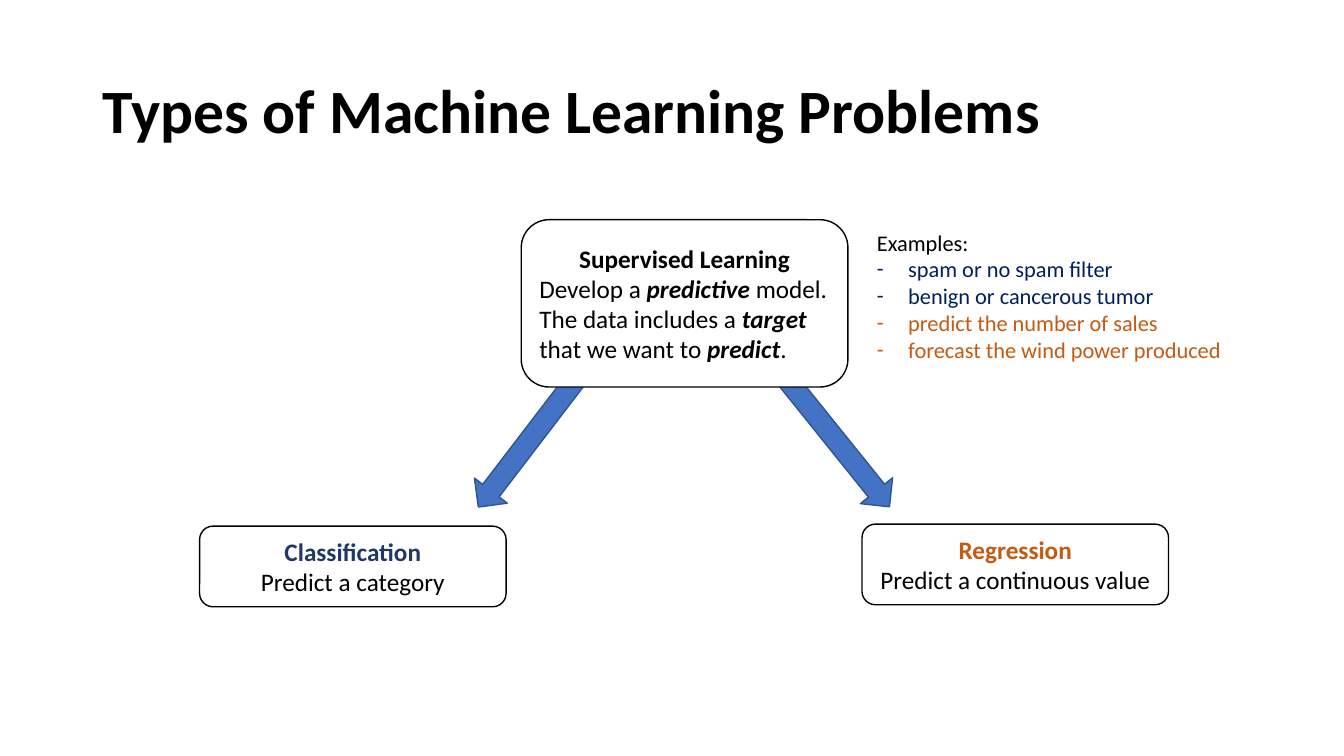
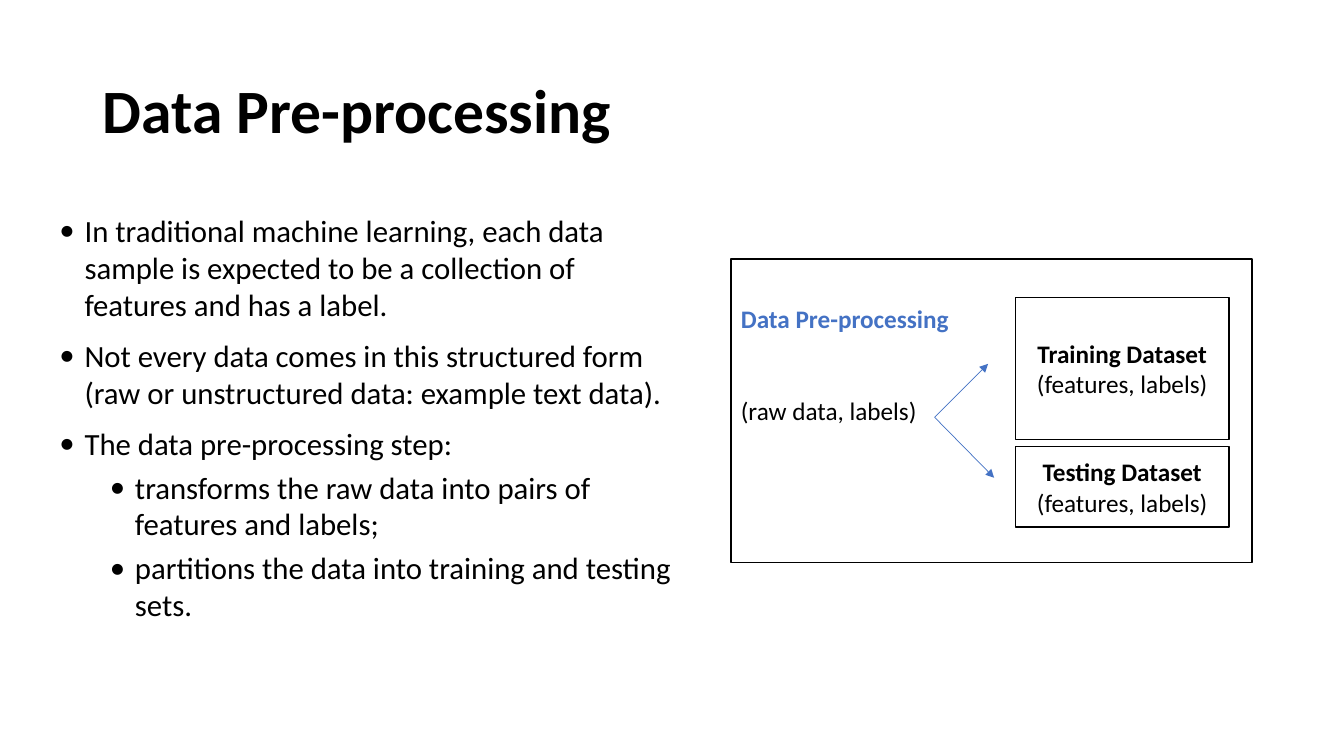
"""Build two slides on machine learning problems and data pre-processing."""
from lxml import etree
from pptx import Presentation
from pptx.dml.color import RGBColor
from pptx.enum.shapes import MSO_CONNECTOR, MSO_SHAPE
from pptx.enum.text import MSO_ANCHOR, PP_ALIGN
from pptx.oxml.ns import qn
from pptx.util import Inches, Pt

LEFT, CENTER = PP_ALIGN.LEFT, PP_ALIGN.CENTER
TOP, MIDDLE = MSO_ANCHOR.TOP, MSO_ANCHOR.MIDDLE
RECT, ROUND = MSO_SHAPE.RECTANGLE, MSO_SHAPE.ROUNDED_RECTANGLE
ARROW, STRAIGHT = MSO_SHAPE.RIGHT_ARROW, MSO_CONNECTOR.STRAIGHT

FONT = "Calibri"
COLORS = {"ink": "000000", "paper": "FFFFFF", "blue": "4472C4", "edge": "325491",
          "navy": "203864", "deep": "002060", "rust": "C55A11"}
WIDE, HIGH = 13.33, 7.5
TITLE = (0.92, 0.4, 11.5, 1.45)

TYPES = "Types of Machine Learning Problems"
GOAL = [("Develop a ", False), ("predictive", True), (" model. The data includes a ", False),
        ("target", True), (" that we want to ", False), ("predict", True), (".", False)]
KINDS = [
    ("Classification", "Predict a category", "navy", (1.98, 5.22)),
    ("Regression", "Predict a continuous value", "rust", (8.55, 5.2)),
]
ARROWS = [((4.42, 4.17), 127.4), ((7.48, 4.18), 51.2)]
CASES = [
    ("spam or no spam filter", "deep"),
    ("benign or cancerous tumor", "deep"),
    ("predict the number of sales", "rust"),
    ("forecast the wind power produced", "rust"),
]

PREP = "Data Pre-processing"
POINTS = [
    (0, "In traditional machine learning, each data sample is expected to be "
        "a collection of features and has a label."),
    (0, "Not every data comes in this structured form "
        "(raw or unstructured data: example text data)."),
    (0, "The data pre-processing step:"),
    (1, "transforms the raw data into pairs of features and labels;"),
    (1, "partitions the data into training and testing sets."),
]
SETS = [("Training Dataset", 2.95, 1.41), ("Testing Dataset", 4.43, 0.8)]
PAIR = "(features, labels)"
FORK, TIPS = (9.27, 4.14), [(9.8, 3.61), (9.86, 4.74)]


def color(name):
    return RGBColor.from_string(COLORS[name])


def para(frame, text, size=18, tint="ink", bold=False, align=LEFT, gap=0, mark=None, ind=0, hang=0):
    """Add a paragraph; text is a string or a list of (words, strong) runs."""
    first = not frame.paragraphs[0].runs
    line = frame.paragraphs[0] if first else frame.add_paragraph()
    line.alignment = align
    if gap and not first:
        line.space_before = Pt(gap)
    if mark:
        props = line._p.get_or_add_pPr()
        props.set("marL", str(Inches(ind)))
        props.set("indent", str(-Inches(hang)))
        etree.SubElement(props, qn("a:buFont")).set("typeface", FONT)
        etree.SubElement(props, qn("a:buChar")).set("char", mark)
    font = line.font
    font.name, font.size, font.bold = FONT, Pt(size), bold
    font.color.rgb = color(tint)
    for words, strong in [(text, None)] if isinstance(text, str) else text:
        run = line.add_run()
        run.text = words
        if strong:
            run.font.bold = run.font.italic = True
    return line


def label(slide, place, anchor=TOP):
    frame = slide.shapes.add_textbox(*map(Inches, place)).text_frame
    frame.word_wrap = True
    frame.vertical_anchor = anchor
    return frame


def shape(slide, kind, place, fill="paper", edge="ink"):
    item = slide.shapes.add_shape(kind, *map(Inches, place))
    item.shadow.inherit = False
    item.fill.solid()
    item.fill.fore_color.rgb = color(fill)
    item.line.color.rgb = color(edge)
    item.line.width = Pt(1)
    return item


def box(slide, kind, place, anchor=MIDDLE):
    frame = shape(slide, kind, place).text_frame
    frame.word_wrap = True
    frame.vertical_anchor = anchor
    return frame


def card(slide, kind, place, head, note, tint="ink"):
    frame = box(slide, kind, place)
    para(frame, head, tint=tint, bold=True, align=CENTER)
    para(frame, note, align=CENTER)


def link(slide, start, end):
    line = slide.shapes.add_connector(STRAIGHT, *map(Inches, start + end))
    line.line.color.rgb = color("blue")
    line.line.width = Pt(0.5)
    etree.SubElement(line.line._get_or_add_ln(), qn("a:tailEnd")).set("type", "triangle")
    etree.SubElement(line._element.spPr, qn("a:effectLst"))


def page(deck, title):
    slide = deck.slides.add_slide(deck.slide_layouts[6])
    para(label(slide, TITLE, MIDDLE), title, 44, bold=True).line_spacing = 0.9
    return slide


def types(deck):
    slide = page(deck, TYPES)
    for spot, turn in ARROWS:
        shape(slide, ARROW, spot + (1.65, 0.41), "blue", "edge").rotation = turn
    for head, note, tint, spot in KINDS:
        card(slide, ROUND, spot + (3.04, 0.8), head, note, tint)
    frame = box(slide, ROUND, (5.17, 2.18, 3.24, 1.66))
    para(frame, "Supervised Learning", bold=True, align=CENTER)
    para(frame, GOAL)
    frame = label(slide, (8.6, 2.22, WIDE - 8.6, 1.45))
    para(frame, "Examples:", 16)
    for text, tint in CASES:
        para(frame, text, 16, tint, mark="-", ind=0.31, hang=0.31)


def prep(deck):
    slide = page(deck, PREP)
    frame = label(slide, (0.49, 2.05, 6.28, 4.76))
    for level, text in POINTS:
        para(frame, text, 22, gap=5 if level else 10, mark="•", ind=0.25 + level / 2, hang=0.25)
    frame = box(slide, RECT, (7.25, 2.57, 5.17, 3.01), TOP)
    frame.margin_top = Inches(0.44)
    para(frame, PREP, tint="blue", bold=True)
    para(frame, "(raw data, labels)", gap=44)
    for head, top, tall in SETS:
        card(slide, RECT, (10.07, top, 2.12, tall), head, PAIR)
    for tip in TIPS:
        link(slide, FORK, tip)


def main():
    deck = Presentation()
    deck.slide_width, deck.slide_height = Inches(WIDE), Inches(HIGH)
    types(deck)
    prep(deck)
    deck.save("out.pptx")


if __name__ == "__main__":
    main()
